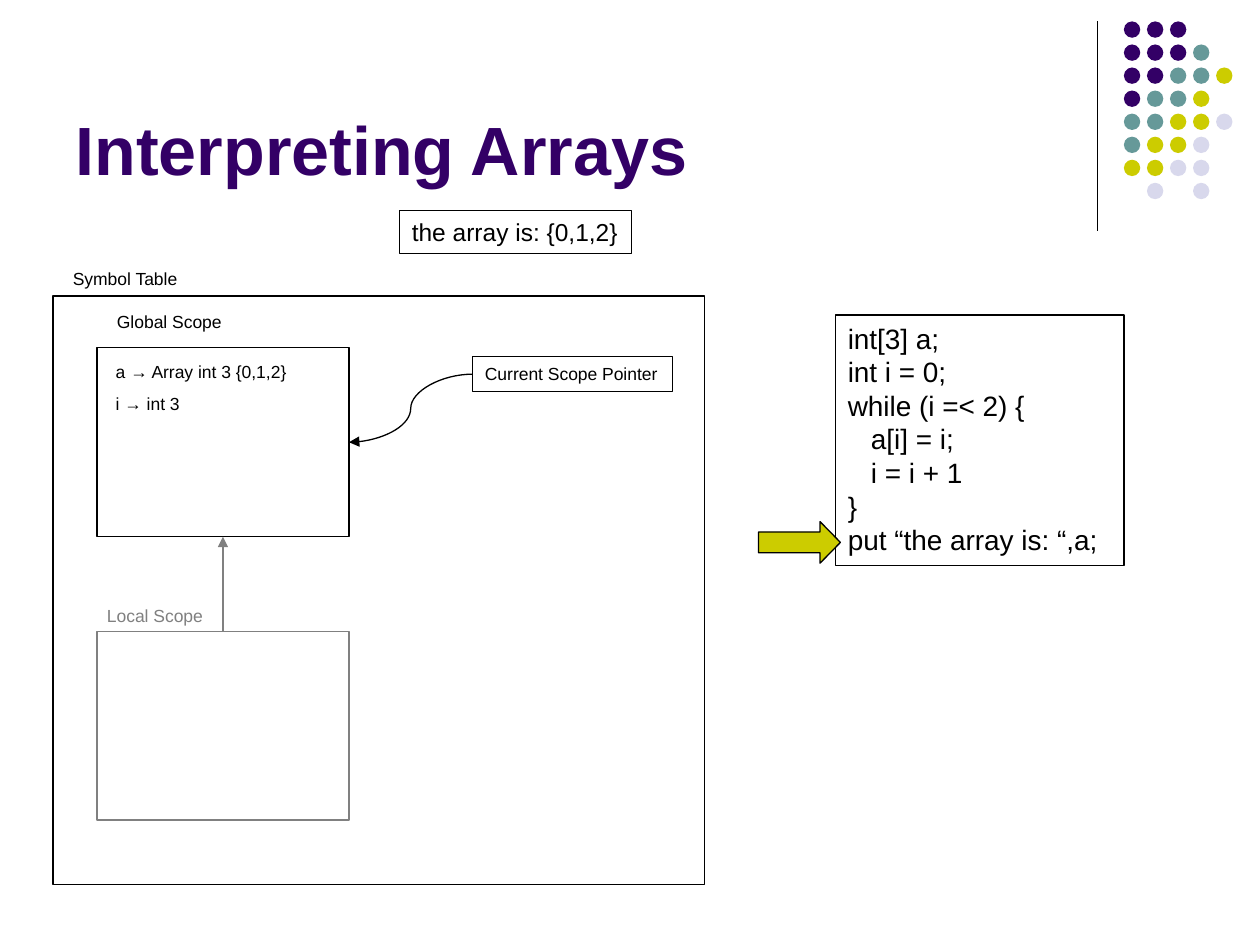
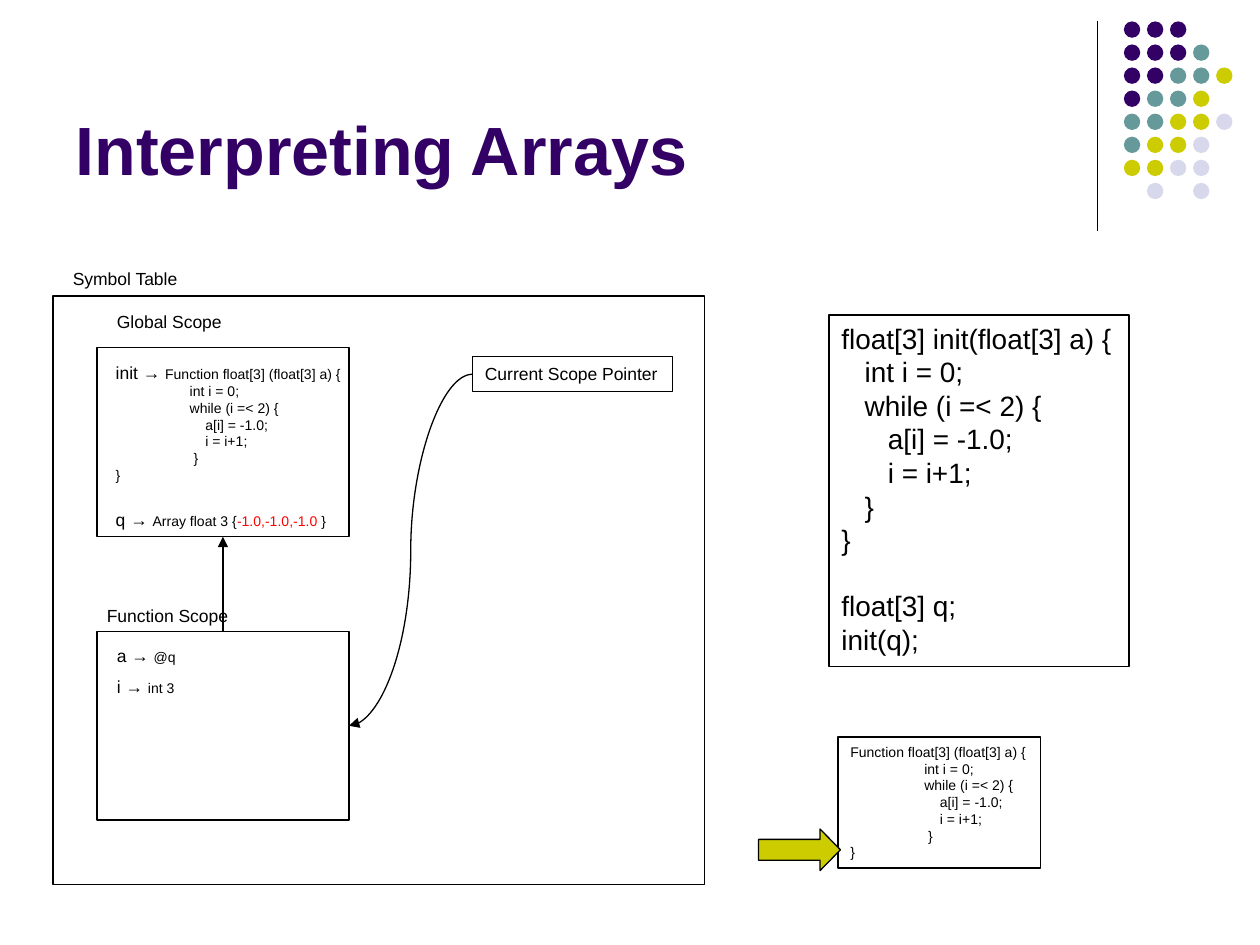
from lxml import etree
from pptx import Presentation
from pptx.dml.color import RGBColor
from pptx.enum import shapes, text
from pptx.oxml import ns
from pptx.util import Inches, Pt

FONT = "Arial"
BLACK, GRAY, RED = "000000", "808080", "FF0000"
PURPLE, TEAL, OLIVE, LAVENDER = "330066", "669999", "CCCC00", "D8D8EC"
DOT_COLORS = {"P": PURPLE, "T": TEAL, "O": OLIVE, "L": LAVENDER}
DOT_ROWS = ["PPP", "PPPT", "PPTTO", "PTTO", "TTOOL", "TOOL", "OOLL", ".L.L"]
DOT_SIZE, DOT_PITCH = 0.13, 0.183

FUNCTION_HEAD = "Function float[3] (float[3] a) {"
FUNCTION_BODY = [
    "                   int i = 0;",
    "                   while (i =< 2) {",
    "                       a[i] = -1.0;",
    "                       i = i+1;",
    "                    }",
    "}",
]

# Each text: left, top, width, height, size, color, outlined, lines.
# A line is a string or a list of (text, size, color) runs; "" leaves a one-line gap.
SHARED_TEXTS = [
    (0.48, 2.08, 1.05, 0.27, 10, BLACK, False, ["Symbol Table"]),
    (0.83, 2.42, 1.03, 0.27, 10, BLACK, False, ["Global Scope"]),
    (3.75, 2.83, 1.59, 0.28, 10, BLACK, True, ["Current Scope Pointer"]),
]
SLIDES = [
    {
        "lower_scope_color": GRAY,
        "pointer_target": 3.51,
        "step_arrow_top": 4.14,
        "texts": [
            (0.75, 4.75, 1.01, 0.27, 10, GRAY, False, ["Local Scope"]),
            (0.82, 2.82, 1.85, 0.27, 10, BLACK, False, ["a → Array int 3 {0,1,2}"]),
            (0.82, 3.07, 1.85, 0.27, 10, BLACK, False, ["i → int 3"]),
            (3.17, 1.67, 1.84, 0.34, 14, BLACK, True, ["the array is: {0,1,2}"]),
            (6.63, 2.5, 2.29, 1.99, 16, BLACK, True, [
                "int[3] a;",
                "int i = 0;",
                "while (i =< 2) {",
                "   a[i] = i;",
                "   i = i + 1",
                "}",
                "put “the array is: “,a;",
            ]),
        ],
    },
    {
        "lower_scope_color": BLACK,
        "pointer_target": 5.76,
        "step_arrow_top": 6.58,
        "texts": [
            (0.75, 4.75, 1.2, 0.27, 10, BLACK, False, ["Function Scope"]),
            (0.82, 2.82, 2.01, 1.08, 8, BLACK, False,
             [[("init → ", 10, BLACK), (FUNCTION_HEAD, 8, BLACK)], *FUNCTION_BODY]),
            (0.82, 3.99, 1.89, 0.27, 10, BLACK, False,
             [[("q → ", 10, BLACK), ("Array float 3 {", 8, BLACK),
               ("-1.0,-1.0,-1.0 ", 8, RED), ("}", 8, BLACK)]]),
            (0.83, 5.07, 2, 0.27, 10, BLACK, False, [[("a → ", 10, BLACK), ("@q", 8, BLACK)]]),
            (0.83, 5.32, 1, 0.27, 10, BLACK, False, [[("i → ", 10, BLACK), ("int 3", 8, BLACK)]]),
            (6.65, 5.85, 1.61, 1.04, 8, BLACK, True, [FUNCTION_HEAD, *FUNCTION_BODY]),
            (6.58, 2.5, 2.38, 2.79, 16, BLACK, True, [
                "float[3] init(float[3] a) {",
                "   int i = 0;",
                "   while (i =< 2) {",
                "      a[i] = -1.0;",
                "      i = i+1;",
                "   }",
                "}",
                "",
                "float[3] q;",
                "init(q);",
            ]),
        ],
    },
]


def paint(shape, line=None, fill=None, arrowhead=False):
    """Set line, fill and arrowhead, and drop the theme shadow."""
    if line:
        shape.line.color.rgb = RGBColor.from_string(line)
        shape.line.width = Pt(0.75)
    else:
        shape.line.fill.background()
    if arrowhead:
        etree.SubElement(shape.line._get_or_add_ln(), ns.qn("a:tailEnd"), type="triangle")
    if hasattr(shape, "fill"):
        if fill:
            shape.fill.solid()
            shape.fill.fore_color.rgb = RGBColor.from_string(fill)
        else:
            shape.fill.background()
    etree.SubElement(shape._element.spPr, ns.qn("a:effectLst"))


def write(frame, lines, size, color, bold=False):
    frame.word_wrap = True
    paragraph, gap = frame.paragraphs[0], False
    for index, line in enumerate(lines):
        if not line:
            gap = True
            continue
        if index:
            paragraph = frame.add_paragraph()
        paragraph.alignment = text.PP_ALIGN.LEFT
        if gap:
            paragraph.space_before = Pt(size * 1.15)
            gap = False
        runs = [(line, size, color)] if isinstance(line, str) else line
        for content, run_size, run_color in runs:
            run = paragraph.add_run()
            run.text = content
            run.font.name = FONT
            run.font.size = Pt(run_size)
            run.font.bold = bold
            run.font.color.rgb = RGBColor.from_string(run_color)


presentation = Presentation()
presentation.slide_width = Inches(10)
presentation.slide_height = Inches(7.5)
layout = presentation.slide_layouts.get_by_name("Title Only")

for number, content in enumerate(SLIDES):
    slide = presentation.slides.add_slide(layout)

    # The corner ornament is drawn once and moved to the layout.
    if number == 0:
        divider = slide.shapes.add_connector(
            shapes.MSO_CONNECTOR.STRAIGHT, Inches(8.71), Inches(0.17), Inches(8.71), Inches(1.83))
        paint(divider, BLACK)
        ornament = [divider]
        for row, letters in enumerate(DOT_ROWS):
            for column, letter in enumerate(letters):
                if letter in DOT_COLORS:
                    dot = slide.shapes.add_shape(
                        shapes.MSO_SHAPE.OVAL,
                        Inches(8.92 + column * DOT_PITCH), Inches(0.17 + row * DOT_PITCH),
                        Inches(DOT_SIZE), Inches(DOT_SIZE))
                    paint(dot, fill=DOT_COLORS[letter])
                    ornament.append(dot)
        for shape_id, shape in enumerate(ornament, start=100):
            shape._element.xpath(".//p:cNvPr")[0].set("id", str(shape_id))
            layout.shapes._spTree.append(shape._element)

    title = slide.shapes.title
    title.left, title.top, title.width, title.height = map(Inches, (0.5, 0.13, 8.25, 1.42))
    title.text_frame.vertical_anchor = text.MSO_ANCHOR.BOTTOM
    write(title.text_frame, ["Interpreting Arrays"], 39, PURPLE, bold=True)

    lower_color = content["lower_scope_color"]
    for left, top, width, height, color in [
        (0.42, 2.35, 5.17, 4.67, BLACK),
        (0.77, 2.76, 2, 1.5, BLACK),
        (0.77, 5.01, 2, 1.5, lower_color),
    ]:
        frame_box = slide.shapes.add_shape(
            shapes.MSO_SHAPE.RECTANGLE, Inches(left), Inches(top), Inches(width), Inches(height))
        paint(frame_box, color)

    for kind, start_x, start_y, end_x, end_y, color in [
        (shapes.MSO_CONNECTOR.STRAIGHT, 1.77, 5.01, 1.77, 4.26, lower_color),
        (shapes.MSO_CONNECTOR.CURVE, 3.75, 2.97, 2.77, content["pointer_target"], BLACK),
    ]:
        connector = slide.shapes.add_connector(
            kind, Inches(start_x), Inches(start_y), Inches(end_x), Inches(end_y))
        paint(connector, color, arrowhead=True)

    for left, top, width, height, size, color, outlined, lines in SHARED_TEXTS + content["texts"]:
        text_box = slide.shapes.add_textbox(Inches(left), Inches(top), Inches(width), Inches(height))
        paint(text_box, BLACK if outlined else None)
        write(text_box.text_frame, lines, size, color)
        text_box.text_frame.auto_size = text.MSO_AUTO_SIZE.SHAPE_TO_FIT_TEXT

    step_arrow = slide.shapes.add_shape(
        shapes.MSO_SHAPE.RIGHT_ARROW,
        Inches(6.02), Inches(content["step_arrow_top"]), Inches(0.65), Inches(0.33))
    step_arrow.adjustments[1] = 0.49
    paint(step_arrow, BLACK, OLIVE)

presentation.save("out.pptx")
